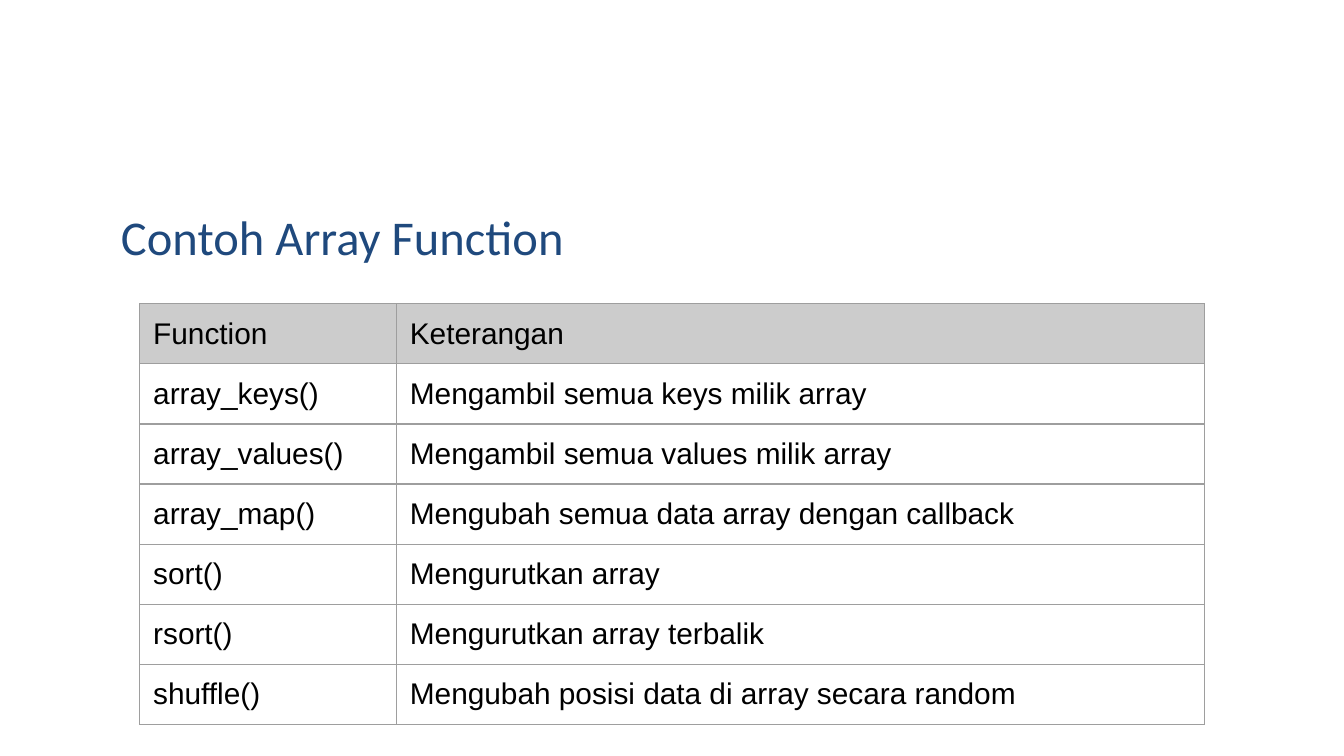
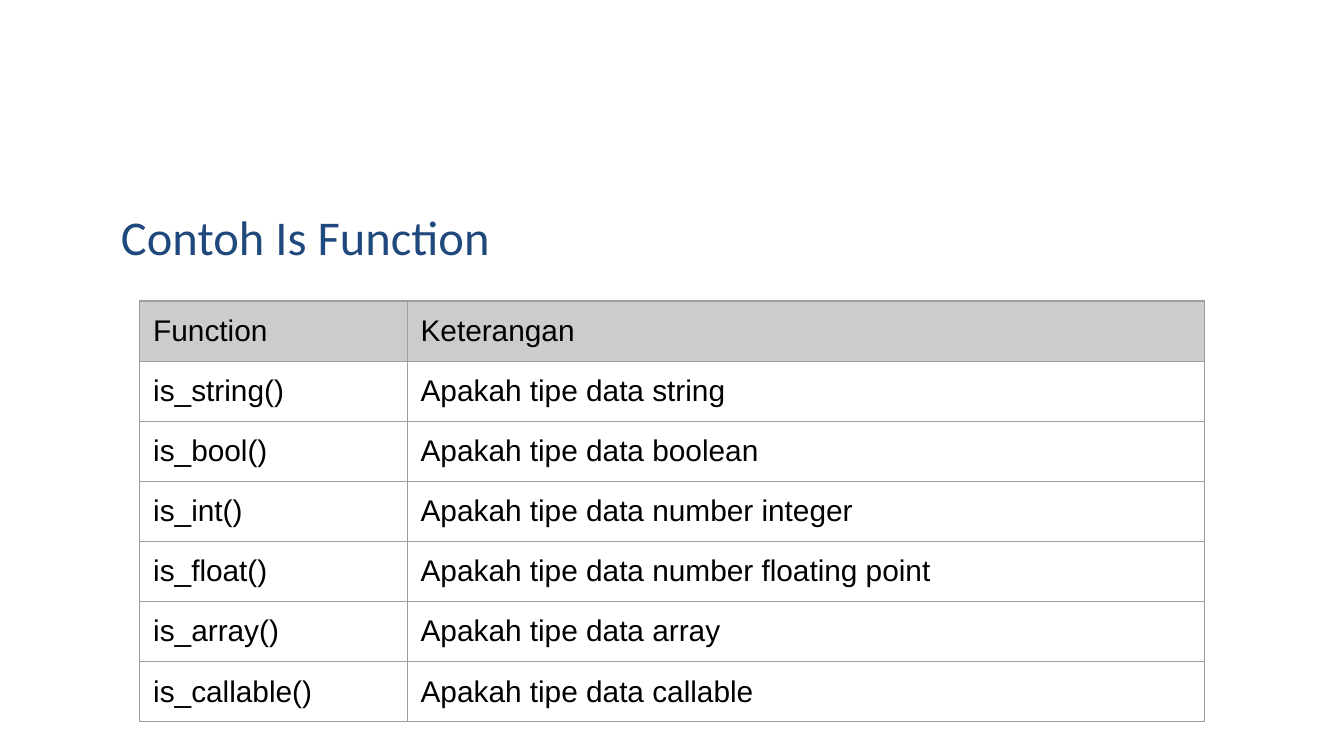
from dataclasses import dataclass

from lxml import etree
from pptx import Presentation
from pptx.dml.color import RGBColor
from pptx.enum.text import MSO_ANCHOR, MSO_AUTO_SIZE, PP_ALIGN
from pptx.oxml.ns import qn
from pptx.util import Inches, Pt

TOP = MSO_ANCHOR.TOP
LEFT = PP_ALIGN.LEFT
NO_AUTOFIT = MSO_AUTO_SIZE.NONE
TITLE_ONLY = 5

COLORS = {
    "title": "1F497D",
    "text": "000000",
    "header": "CCCCCC",
    "border": "9E9E9E",
}
PAGE_WIDTH = Inches(10)
PAGE_HEIGHT = PAGE_WIDTH * 9 // 16
TITLE_LEFT, TITLE_TOP = Inches(0.8), Inches(1.44)
TITLE_WIDTH, TITLE_HEIGHT = Inches(8.41), Inches(0.59)
TABLE_LEFT, TABLE_WIDTH = Inches(1.04), Inches(7.92)
TABLE_HEIGHT, ROW_HEIGHT = Inches(3.27), Inches(0.42)
INSET = Inches(0.1)
BORDER_WIDTH = Pt(0.75)
HEADINGS = ("Function", "Keterangan")


@dataclass(frozen=True)
class FunctionPage:
    title: str
    table_top: float
    first_column: float
    functions: tuple[tuple[str, str], ...]


PAGES = (
    FunctionPage("Contoh Array Function", 2.26, 1.91, (
        ("array_keys()", "Mengambil semua keys milik array"),
        ("array_values()", "Mengambil semua values milik array"),
        ("array_map()", "Mengubah semua data array dengan callback"),
        ("sort()", "Mengurutkan array"),
        ("rsort()", "Mengurutkan array terbalik"),
        ("shuffle()", "Mengubah posisi data di array secara random"),
    )),
    FunctionPage("Contoh Is Function", 2.24, 1.99, (
        ("is_string()", "Apakah tipe data string"),
        ("is_bool()", "Apakah tipe data boolean"),
        ("is_int()", "Apakah tipe data number integer"),
        ("is_float()", "Apakah tipe data number floating point"),
        ("is_array()", "Apakah tipe data array"),
        ("is_callable()", "Apakah tipe data callable"),
    )),
)


def write_text(frame, text: str, *, font: str, size: float, color: str) -> None:
    para = frame.paragraphs[0]
    para.alignment = LEFT
    span = para.add_run()
    span.text = text
    span.font.name = font
    span.font.size = Pt(size)
    span.font.bold = False
    span.font.color.rgb = RGBColor.from_string(COLORS[color])


def set_insets(holder) -> None:
    """Give a cell or a text frame the shared margin on all sides."""
    holder.margin_left = holder.margin_right = INSET
    holder.margin_top = holder.margin_bottom = INSET


def add_title(page, text: str) -> None:
    box = page.shapes.title
    box.left, box.top = TITLE_LEFT, TITLE_TOP
    box.width, box.height = TITLE_WIDTH, TITLE_HEIGHT
    frame = box.text_frame
    frame.word_wrap = True
    frame.auto_size = NO_AUTOFIT
    frame.vertical_anchor = TOP
    set_insets(frame)
    write_text(frame, text, font="Calibri", size=26, color="title")


def add_borders(cell) -> None:
    properties = cell._tc.get_or_add_tcPr()
    for side in ("lnL", "lnR", "lnT", "lnB"):
        line = etree.SubElement(properties, qn(f"a:{side}"), w=str(BORDER_WIDTH))
        fill = etree.SubElement(line, qn("a:solidFill"))
        etree.SubElement(fill, qn("a:srgbClr"), val=COLORS["border"])


def format_cell(cell, text: str, *, header: bool) -> None:
    set_insets(cell)
    cell.vertical_anchor = TOP
    add_borders(cell)
    if header:
        cell.fill.solid()
        cell.fill.fore_color.rgb = RGBColor.from_string(COLORS["header"])
    else:
        cell.fill.background()
    write_text(cell.text_frame, text, font="Arial", size=16, color="text")


def add_function_table(page, content: FunctionPage) -> None:
    rows = (HEADINGS, *content.functions)
    holder = page.shapes.add_table(
        len(rows), len(HEADINGS), TABLE_LEFT, Inches(content.table_top),
        TABLE_WIDTH, TABLE_HEIGHT)
    table = holder.table
    table.first_row = table.horz_banding = False
    first_width = Inches(content.first_column)
    table.columns[0].width = first_width
    table.columns[1].width = TABLE_WIDTH - first_width
    for row_index, texts in enumerate(rows):
        table.rows[row_index].height = ROW_HEIGHT
        for column_index, text in enumerate(texts):
            format_cell(table.cell(row_index, column_index), text,
                        header=row_index == 0)
    holder.height = TABLE_HEIGHT


def main() -> None:
    deck = Presentation()
    deck.slide_width, deck.slide_height = PAGE_WIDTH, PAGE_HEIGHT
    for content in PAGES:
        page = deck.slides.add_slide(deck.slide_layouts[TITLE_ONLY])
        add_title(page, content.title)
        add_function_table(page, content)
    deck.save("out.pptx")


if __name__ == "__main__":
    main()
